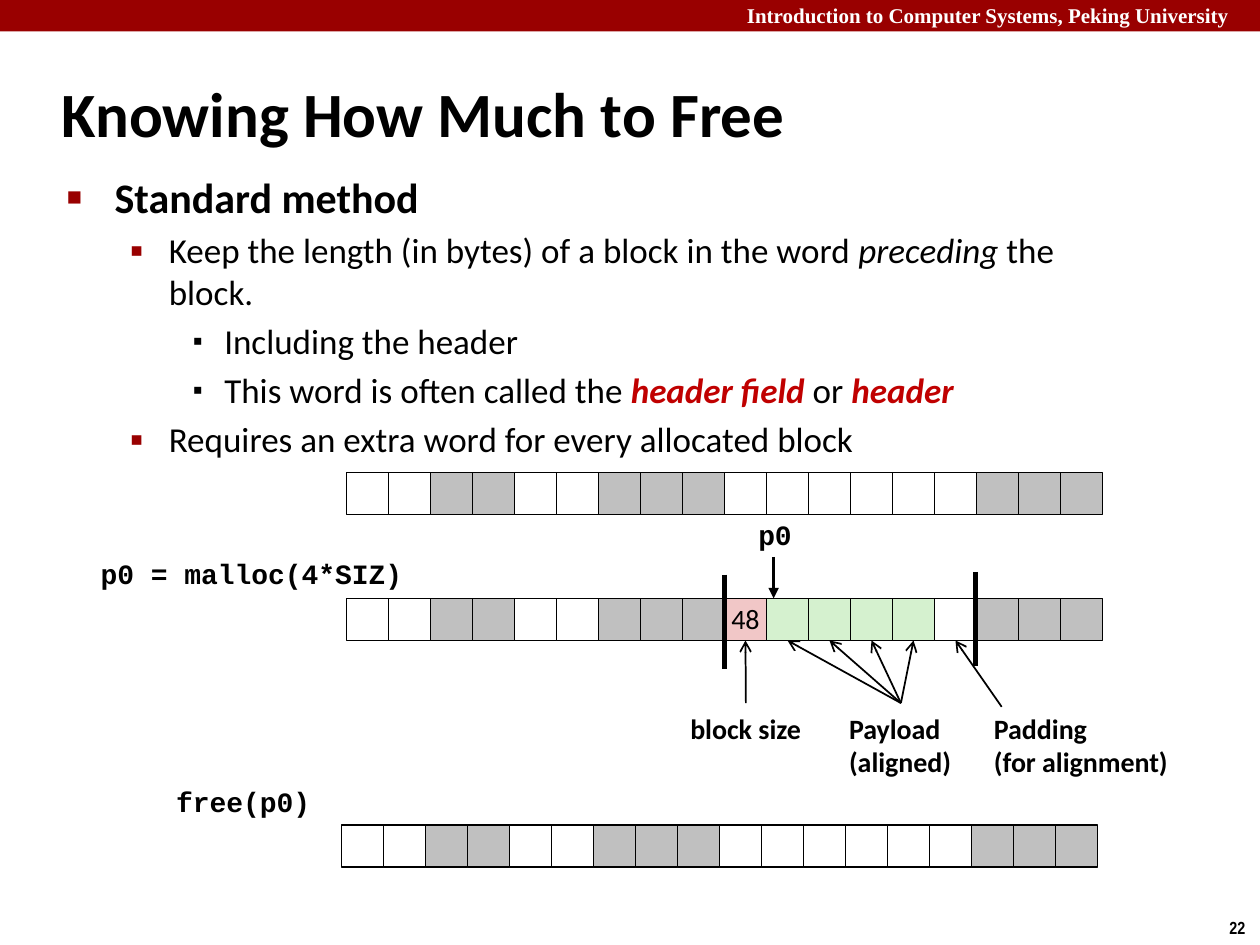
"""Builds the slide on how free() learns the length of a block."""
import dataclasses

import pptx
import pptx.dml.color
import pptx.enum.shapes
import pptx.enum.text
import pptx.oxml.ns
import pptx.oxml.xmlchemy
import pptx.util
from lxml import etree


@dataclasses.dataclass(frozen=True)
class Theme:
    ink: str = "000000"
    paper: str = "FFFFFF"
    crimson: str = "990000"
    accent: str = "C00000"
    used: str = "C0C0C0"
    payload: str = "D5F1CF"
    header: str = "F1C7C7"
    sans: str = "Calibri"
    code: str = "Courier New"
    serif: str = "Times New Roman"
    narrow: str = "Arial Narrow"
    title: int = 36
    heading: int = 24
    body: int = 20
    label: int = 16
    banner: int = 12
    number: int = 10


THEME = Theme()
WIDTH, HEIGHT = 10, 7.5
CELL = WIDTH / 30

TITLE = ("Knowing How Much to Free", (3.9, 6.4, 83, 11.07))
BODY_AREA = (4.3, 17.47, 86.4, 74.93)
BODY = [
    (0, [("Standard method", "")]),
    (1, [("Keep the length (in bytes) of a block in the word ", ""),
         ("preceding", "italic"), (" the block.", "")]),
    (2, [("Including the header", "")]),
    (2, [("This word is often called the ", ""), ("header field ", "accent"),
         ("or ", ""), ("header", "accent")]),
    (1, [("Requires an extra word for every allocated block", "")]),
]
LEVELS = [
    {"size": THEME.heading, "indent": (0.38, -0.38), "bullet": "■",
     "scale": 60, "colour": THEME.crimson},
    {"size": THEME.body, "indent": (0.81, -0.31), "bullet": "▪",
     "scale": 110, "colour": THEME.crimson},
    {"size": THEME.body, "indent": (1.25, -0.25), "bullet": "▪",
     "scale": 80, "colour": THEME.ink},
]

BANNER_AREA = (0, 0, 100, 3.33)
BANNER = ("Introduction to Computer Systems, Peking University", (58.3, -0.4, 42.4, 4))
PAGE = ("22", (96.6, 96.4, 3.4, 3.6))
CODE_LABELS = [
    ("p0 = malloc(4*SIZ)", (7, 58.53, 26.3, 4.8)),
    ("p0", (59.2, 54.4, 4.7, 4.67)),
    ("free(p0)", (13, 82.67, 12.8, 4.8)),
]
PART_LABELS = [
    ("block size", (53.8, 74.8, 10.9, 4.93)),
    ("Payload\v(aligned)", (66.4, 74.8, 10.2, 8.4)),
    ("Padding\n(for alignment)", (77.9, 74.8, 16, 8.4)),
]

FILLS = {".": THEME.paper, "#": THEME.used, "h": THEME.header, "p": THEME.payload}
BEFORE = ("..##..###......###", 27.5, 50)
ALLOCATED = ("..##..###hpppp.###", 27.5, 63.33)
FREED = ("..##..###......###", 27.1, 87.33)
HEADER_CELL = 9
BLOCK_EDGES = [((57.5, 60.8), (57.5, 70.8)), ((77.4, 60.53), (77.4, 70.53))]
POINTER = ((61.4, 58.93), (61.4, 63.33))
CALLOUTS = [((59.2, 74.4), [9]), ((71.5, 74.4), [10, 11, 12, 13]), ((79.5, 74.8), [14])]


def rgb(colour):
    return pptx.dml.color.RGBColor.from_string(colour)


def across(share):
    return pptx.util.Inches(WIDTH * share / 100)


def down(share):
    return pptx.util.Inches(HEIGHT * share / 100)


def area(left, top, width, height):
    return across(left), down(top), across(width), down(height)


def style(paragraph, face, size, colour=THEME.ink, bold=False):
    font = paragraph.font
    font.name, font.size, font.bold = face, pptx.util.Pt(size), bold
    font.color.rgb = rgb(colour)


def add_label(slide, label, face, size, colour=THEME.ink, spacing=1.0, wrap=False):
    text, place = label
    frame = slide.shapes.add_textbox(*area(*place)).text_frame
    frame.text = text
    frame.word_wrap = wrap
    frame.auto_size = pptx.enum.text.MSO_AUTO_SIZE.SHAPE_TO_FIT_TEXT
    for paragraph in frame.paragraphs:
        paragraph.line_spacing = spacing
        style(paragraph, face, size, colour, bold=True)


def add_box(slide, place, fill, outline=None):
    box = slide.shapes.add_shape(pptx.enum.shapes.MSO_SHAPE.RECTANGLE, *place)
    box.shadow.inherit = False
    box.fill.solid()
    box.fill.fore_color.rgb = rgb(fill)
    if outline:
        box.line.color.rgb = rgb(outline)
        box.line.width = pptx.util.Pt(1)
    else:
        box.line.fill.background()
    return box


def add_words(slide, pattern, left, top):
    side = pptx.util.Inches(CELL)
    return [add_box(slide, (across(left) + column * side, down(top), side, side),
                    FILLS[kind], THEME.ink)
            for column, kind in enumerate(pattern)]


def add_line(slide, start, end, weight, head=None):
    line = slide.shapes.add_connector(
        pptx.enum.shapes.MSO_CONNECTOR.STRAIGHT,
        across(start[0]), down(start[1]), across(end[0]), down(end[1]))
    line.line.color.rgb = rgb(THEME.ink)
    line.line.width = pptx.util.Pt(weight)
    properties = line._element.spPr
    if head:
        stroke = properties.find(pptx.oxml.ns.qn("a:ln"))
        etree.SubElement(stroke, pptx.oxml.ns.qn("a:tailEnd"), type=head)
    etree.SubElement(properties, pptx.oxml.ns.qn("a:effectLst"))
    return line


def add_bullet(paragraph, level):
    properties = paragraph._p.get_or_add_pPr()
    margin, hanging = level["indent"]
    properties.set("marL", str(pptx.util.Inches(margin)))
    properties.set("indent", str(pptx.util.Inches(hanging)))
    tint = etree.SubElement(properties, pptx.oxml.ns.qn("a:buClr"))
    etree.SubElement(tint, pptx.oxml.ns.qn("a:srgbClr"), val=level["colour"])
    etree.SubElement(properties, pptx.oxml.ns.qn("a:buSzPct"), val=str(level["scale"] * 1000))
    etree.SubElement(properties, pptx.oxml.ns.qn("a:buChar"), char=level["bullet"])


def move(placeholder, place):
    placeholder.left, placeholder.top, placeholder.width, placeholder.height = area(*place)
    placeholder.text_frame.auto_size = pptx.enum.text.MSO_AUTO_SIZE.NONE


def fill_title(title):
    text, place = TITLE
    move(title, place)
    title.text_frame.text = text
    title.text_frame.vertical_anchor = pptx.enum.text.MSO_ANCHOR.MIDDLE
    heading = title.text_frame.paragraphs[0]
    heading.alignment = pptx.enum.text.PP_ALIGN.LEFT
    style(heading, THEME.sans, THEME.title, bold=True)


def fill_body(body):
    move(body, BODY_AREA)
    frame = body.text_frame
    for row, (depth, pieces) in enumerate(BODY):
        paragraph = frame.add_paragraph() if row else frame.paragraphs[0]
        level = LEVELS[depth]
        paragraph.level = depth
        add_bullet(paragraph, level)
        paragraph.space_before = pptx.util.Pt(0.2 * level["size"] if row else 0)
        style(paragraph, THEME.sans, level["size"], bold=depth == 0)
        for text, emphasis in pieces:
            run = paragraph.add_run()
            run.text = text
            if emphasis:
                run.font.italic = True
            if emphasis == "accent":
                run.font.bold = True
                run.font.color.rgb = rgb(THEME.accent)


def add_block_size(cell):
    frame = cell.text_frame
    frame.text = "48"
    frame.word_wrap = False
    frame.vertical_anchor = pptx.enum.text.MSO_ANCHOR.MIDDLE
    size = frame.paragraphs[0]
    size.alignment = pptx.enum.text.PP_ALIGN.CENTER
    size.line_spacing = 0.98
    style(size, THEME.sans, THEME.label)


def main():
    deck = pptx.Presentation()
    deck.slide_width, deck.slide_height = across(100), down(100)
    slide = deck.slides.add_slide(deck.slide_layouts[1])
    add_box(slide, area(*BANNER_AREA), THEME.crimson)
    add_label(slide, BANNER, THEME.serif, THEME.banner, THEME.paper, wrap=True)
    add_label(slide, PAGE, THEME.narrow, THEME.number)
    fill_title(slide.shapes.title)
    fill_body(slide.placeholders[1])
    for label in CODE_LABELS:
        add_label(slide, label, THEME.code, THEME.label, spacing=0.94)
    for label in PART_LABELS:
        add_label(slide, label, THEME.sans, THEME.label, spacing=0.98)
    _, words, _ = [add_words(slide, *row) for row in (BEFORE, ALLOCATED, FREED)]
    add_block_size(words[HEADER_CELL])
    for start, end in BLOCK_EDGES:
        add_line(slide, start, end, 3)
    add_line(slide, *POINTER, 2, "triangle")
    for start, targets in CALLOUTS:
        for target in targets:
            add_line(slide, start, start, 1, "arrow").end_connect(words[target], 2)
    deck.save("out.pptx")


if __name__ == "__main__":
    main()
